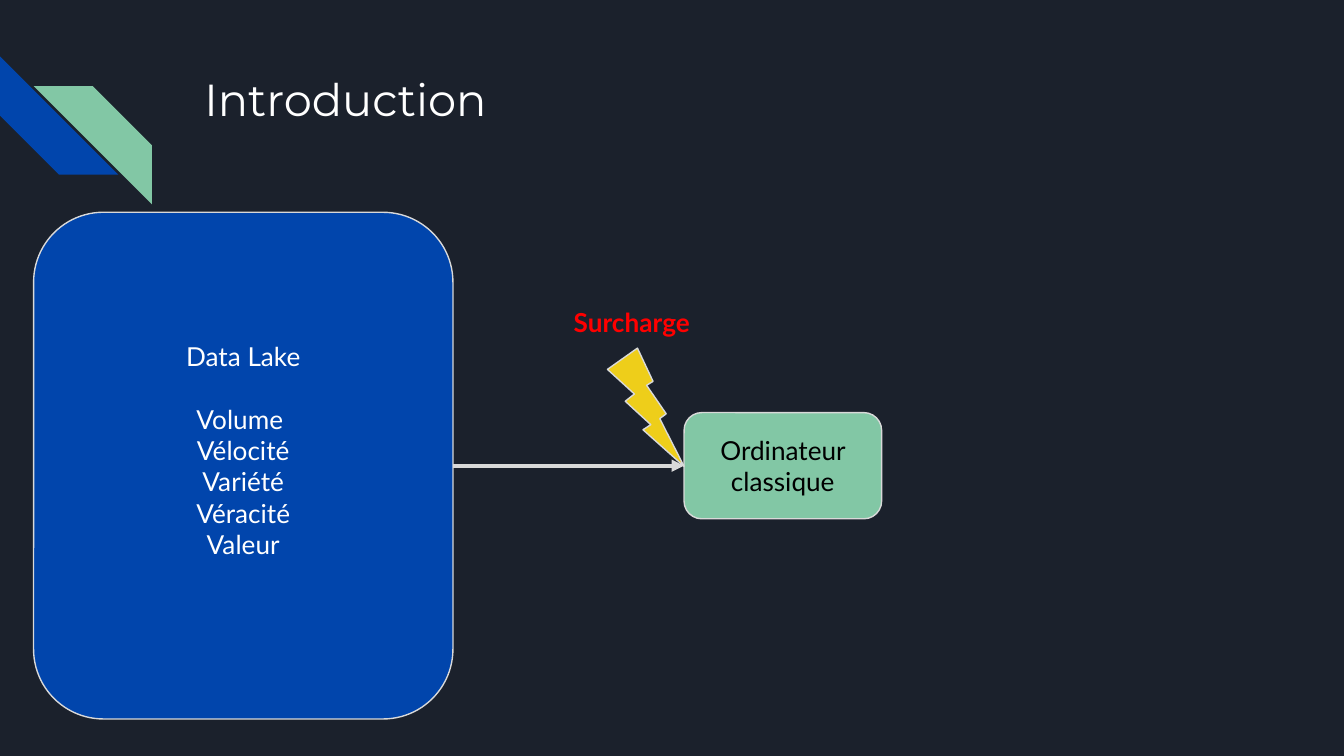
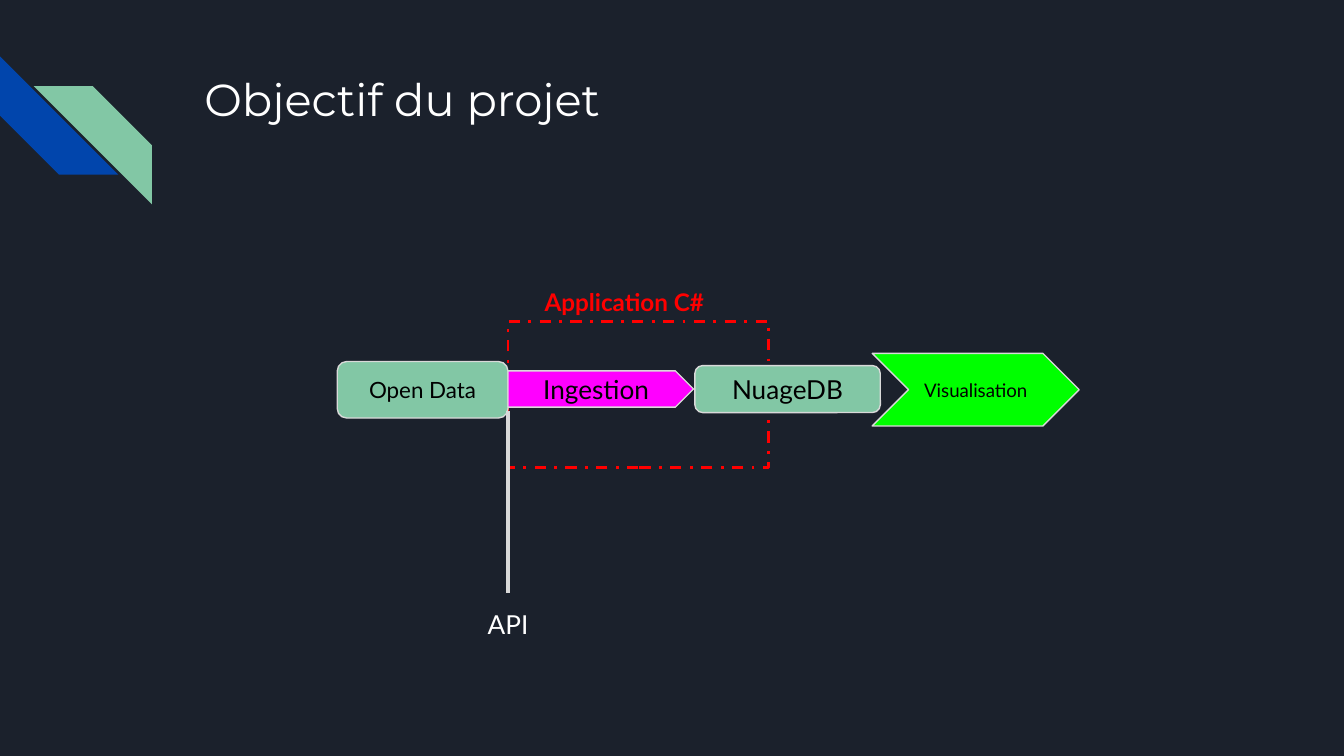
from lxml.etree import SubElement
from pptx import Presentation
from pptx.dml.color import RGBColor
from pptx.enum.dml import MSO_LINE
from pptx.enum.shapes import MSO_CONNECTOR, MSO_SHAPE
from pptx.enum.text import MSO_ANCHOR, PP_ALIGN
from pptx.oxml.ns import qn
from pptx.util import Inches, Pt

PAGE_WIDTH = 10
PAGE_HEIGHT = PAGE_WIDTH * 9 / 16
NIGHT, BLUE, GREEN, GREY = "1B212C", "0145AC", "82C7A5", "D9D9D9"
WHITE, BLACK, RED = "FFFFFF", "000000", "FF0000"
YELLOW, MAGENTA, LIME = "EECE1A", "FF00FF", "00FF00"
TITLE_FONT, BODY_FONT = "Montserrat", "Lato"
MARGIN = 0.1
LINE_HEIGHT = 16.8

STRIPES = [((0, 0.42, 0.88, 0.88), BLUE, 270), ((0.25, 0.64, 0.88, 0.88), GREEN, 90)]
DATA_LAKE = ["Data Lake", "Volume ", "Vélocité", "Variété", "Véracité", "Valeur"]
PIPELINE = [
    (MSO_SHAPE.ROUNDED_RECTANGLE, (2.51, 2.69, 1.27, 0.42), GREEN, "Open Data", 12),
    (MSO_SHAPE.PENTAGON, (3.78, 2.76, 1.38, 0.27), MAGENTA, "Ingestion", 14),
    (MSO_SHAPE.ROUNDED_RECTANGLE, (5.17, 2.72, 1.38, 0.35), GREEN, "NuageDB", 14),
    (MSO_SHAPE.CHEVRON, (6.49, 2.63, 1.54, 0.54), LIME, "Visualisation", 10),
]


def color(code):
    return RGBColor.from_string(code)


def place(area):
    return [Inches(value) for value in area]


def write(box, lines, size, code, font=BODY_FONT, bold=False,
          align=PP_ALIGN.CENTER, anchor=MSO_ANCHOR.TOP):
    frame = box.text_frame
    frame.word_wrap = True
    frame.vertical_anchor = anchor
    frame.margin_left = frame.margin_right = Inches(MARGIN)
    frame.margin_top = frame.margin_bottom = Inches(MARGIN)
    frame.text = "\n".join(lines)
    for para in frame.paragraphs:
        para.alignment = align
        para.font.name = font
        para.font.size = Pt(size)
        para.font.bold = bold
        para.font.color.rgb = color(code)


def add_block(page, kind, area, fill=None, line=GREY, width=0.75):
    block = page.shapes.add_shape(kind, *place(area))
    block.shadow.inherit = False
    if fill:
        block.fill.solid()
        block.fill.fore_color.rgb = color(fill)
    else:
        block.fill.background()
    if line:
        block.line.color.rgb = color(line)
        block.line.width = Pt(width)
    else:
        block.line.fill.background()
    return block


def add_step(page, kind, area, fill, lines, size=14, code=BLACK):
    step = add_block(page, kind, area, fill)
    write(step, lines, size, code, anchor=MSO_ANCHOR.MIDDLE)
    return step


def add_label(page, area, text, size, code, **style):
    label = page.shapes.add_textbox(*place(area))
    write(label, [text], size, code, **style)
    return label


def add_link(page, start, end, arrow=False):
    link = page.shapes.add_connector(MSO_CONNECTOR.STRAIGHT, *place(start + end))
    link.line.color.rgb = color(GREY)
    link.line.width = Pt(2.25)
    outline = link.element.spPr
    if arrow:
        SubElement(outline.find(qn("a:ln")), qn("a:tailEnd"), type="triangle")
    SubElement(outline, qn("a:effectLst"))
    return link


def add_page(deck, title):
    page = deck.slides.add_slide(deck.slide_layouts[5])
    for area, fill, angle in STRIPES:
        add_block(page, MSO_SHAPE.DIAGONAL_STRIPE, area, fill, line=None).rotation = angle
    box = page.shapes.title
    box.left, box.top, box.width, box.height = place((1.42, 0.43, 7.7, 1))
    write(box, [title], 24, WHITE, font=TITLE_FONT, align=PP_ALIGN.LEFT)
    return page


def build_introduction(deck):
    page = add_page(deck, "Introduction")
    lake = add_step(page, MSO_SHAPE.ROUNDED_RECTANGLE, (0.25, 1.58, 3.12, 3.77),
                    BLUE, DATA_LAKE, code=WHITE)
    lake.text_frame.paragraphs[0].space_after = Pt(LINE_HEIGHT)
    lake.text_frame.margin_bottom = Inches(MARGIN) + Pt(LINE_HEIGHT)
    computer = add_step(page, MSO_SHAPE.ROUNDED_RECTANGLE, (5.09, 3.07, 1.47, 0.79),
                        GREEN, ["Ordinateur classique"])
    link = add_link(page, (3.37, 3.47), (5.09, 3.47), arrow=True)
    link.begin_connect(lake, 3)
    link.end_connect(computer, 1)
    add_block(page, MSO_SHAPE.LIGHTNING_BOLT, (4.52, 2.59, 0.57, 0.88), YELLOW)
    add_label(page, (4.17, 2.18, 1.09, 0.37), "Surcharge", 14, RED,
              bold=True, align=PP_ALIGN.LEFT)


def build_objective(deck):
    page = add_page(deck, "Objectif du projet")
    application = add_block(page, MSO_SHAPE.RECTANGLE, (3.78, 2.39, 1.94, 1.09),
                            line=RED, width=1.5)
    application.line.dash_style = MSO_LINE.DASH_DOT
    add_label(page, (3.78, 2.04, 1.73, 0.35), "Application C#", 13, RED, bold=True)
    for kind, area, fill, text, size in PIPELINE:
        add_step(page, kind, area, fill, [text], size)
    add_link(page, (3.78, 3.06), (3.78, 4.41))
    add_label(page, (3.42, 4.43, 0.72, 0.42), "API", 14, WHITE)


def main():
    deck = Presentation()
    deck.slide_width, deck.slide_height = place((PAGE_WIDTH, PAGE_HEIGHT))
    background = deck.slide_master.background.fill
    background.solid()
    background.fore_color.rgb = color(NIGHT)
    build_introduction(deck)
    build_objective(deck)
    deck.save("out.pptx")


if __name__ == "__main__":
    main()
